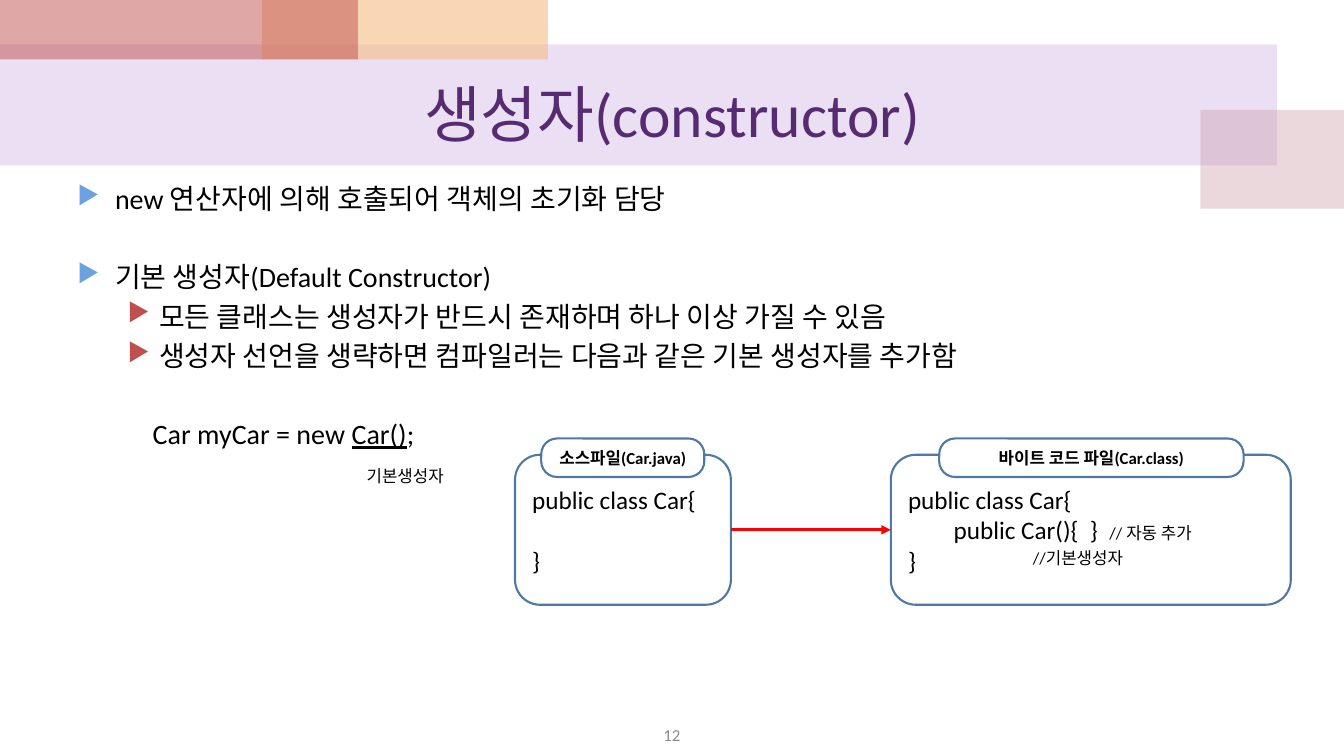
from lxml.etree import SubElement
from pptx import Presentation
from pptx.dml.color import RGBColor
from pptx.enum.shapes import MSO_CONNECTOR, MSO_SHAPE
from pptx.enum.text import MSO_ANCHOR, PP_ALIGN
from pptx.oxml.ns import qn
from pptx.util import Cm, Pt

FONT = "Calibri"
BLACK = RGBColor(0x00, 0x00, 0x00)
WHITE = RGBColor(0xFF, 0xFF, 0xFF)
GREY = RGBColor(0x8C, 0x8C, 0x8C)
PURPLE = RGBColor(0x56, 0x2B, 0x71)
LILAC = RGBColor(0xBF, 0x98, 0xD8)
PINK = RGBColor(0xCC, 0x9E, 0xAC)
ORANGE = RGBColor(0xF5, 0xBC, 0x83)
BRICK = RGBColor(0xC0, 0x50, 0x4D)
SKY = RGBColor(0x6B, 0xA2, 0xDF)
STEEL = RGBColor(0x4F, 0x78, 0xA5)
RED = RGBColor(0xFF, 0x00, 0x00)

BANDS = [
    (0, 1.12, 32.18, 3.05, LILAC, 30),
    (30.25, 2.77, 3.62, 2.49, PINK, 40),
    (6.6, 0, 7.21, 1.5, ORANGE, 60),
    (0, 0, 9.02, 1.5, BRICK, 50),
]


def add_band(slide, left, top, width, height, color, opacity):
    """Add a translucent decorative rectangle."""
    band = slide.shapes.add_shape(
        MSO_SHAPE.RECTANGLE, Cm(left), Cm(top), Cm(width), Cm(height))
    band.shadow.inherit = False
    band.line.fill.background()
    band.fill.solid()
    band.fill.fore_color.rgb = color
    tint = band.fill._xPr.find(qn("a:solidFill"))[0]
    SubElement(tint, qn("a:alpha"), val=str(opacity * 1000))


def add_text_area(slide, left, top, width, height, wrap=True, anchor=MSO_ANCHOR.TOP):
    """Add an empty text box and return its text frame."""
    frame = slide.shapes.add_textbox(
        Cm(left), Cm(top), Cm(width), Cm(height)).text_frame
    frame.word_wrap = wrap
    frame.vertical_anchor = anchor
    return frame


def write(frame, *pieces, size=12, color=BLACK, bold=False, align=PP_ALIGN.LEFT,
          before=0, margin=0, hanging=0, bullet=None):
    """Write one paragraph from (text, size, underline) pieces or plain strings."""
    paragraph = frame.paragraphs[0]
    if paragraph.runs:
        paragraph = frame.add_paragraph()
    paragraph.alignment = align
    paragraph.space_before = Pt(before)
    layout = paragraph._p.get_or_add_pPr()
    layout.set("marL", str(Cm(margin)))
    layout.set("indent", str(-Cm(hanging)))
    if bullet is not None:
        SubElement(SubElement(layout, qn("a:buClr")), qn("a:srgbClr"), val=str(bullet))
        SubElement(layout, qn("a:buSzPct"), val="90000")
        SubElement(layout, qn("a:buChar"), char="▶")
    for piece in pieces:
        text, piece_size, underline = (
            (piece, size, False) if isinstance(piece, str) else piece)
        run = paragraph.add_run()
        run.text = text
        run.font.name = FONT
        run.font.size = Pt(piece_size)
        run.font.bold = bold
        run.font.underline = underline
        run.font.color.rgb = color


def add_rounded(slide, left, top, width, height):
    """Add an outlined, unfilled rounded rectangle."""
    rounded = slide.shapes.add_shape(
        MSO_SHAPE.ROUNDED_RECTANGLE, Cm(left), Cm(top), Cm(width), Cm(height))
    rounded.shadow.inherit = False
    rounded.fill.background()
    rounded.line.color.rgb = STEEL
    rounded.line.width = Pt(1.5)
    rounded.text_frame.vertical_anchor = MSO_ANCHOR.MIDDLE
    return rounded


def add_code_file(slide, left, width, tab_left, tab_width, file_name):
    """Add a code box with a file name tab and return the box."""
    code_box = add_rounded(slide, left, 11.46, width, 3.78)
    tab = add_rounded(slide, tab_left, 11.05, tab_width, 0.97)
    tab.adjustments[0] = 0.41
    tab.fill.solid()
    tab.fill.fore_color.rgb = WHITE
    write(tab.text_frame, file_name, bold=True, align=PP_ALIGN.CENTER)
    return code_box


def add_arrow(slide, source, target):
    """Join the right side of source to the left side of target."""
    arrow = slide.shapes.add_connector(MSO_CONNECTOR.STRAIGHT, 0, 0, 0, 0)
    arrow.begin_connect(source, 3)
    arrow.end_connect(target, 1)
    arrow.line.color.rgb = RED
    arrow.line.width = Pt(2.25)
    SubElement(arrow.line._get_or_add_ln(), qn("a:tailEnd"), type="triangle")
    SubElement(arrow._element.spPr, qn("a:effectLst"))


def add_explanation(slide):
    """Add the bulleted explanation and the sample statement."""
    body = add_text_area(slide, 1.7, 4.45, 30.48, 12.57)
    main_point = dict(size=20, margin=0.95, hanging=0.95, bullet=SKY)
    sub_point = dict(size=20, margin=2.06, hanging=0.79, bullet=BRICK, before=4)
    write(body, "new 연산자에 의해 호출되어 객체의 초기화 담당", **main_point)
    write(body, "기본 생성자(Default Constructor)", before=32, **main_point)
    write(body, "모든 클래스는 생성자가 반드시 존재하며 하나 이상 가질 수 있음", **sub_point)
    write(body, "생성자 선언을 생략하면 컴파일러는 다음과 같은 기본 생성자를 추가함", **sub_point)
    write(body, "Car myCar = new ", ("Car()", 20, True), ";",
          size=20, margin=1.9, before=32)
    write(add_text_area(slide, 8.99, 11.61, 2.64, 0.76, wrap=False), "기본생성자")


def add_compilation(slide):
    """Add the source file, the byte code file and the arrow between them."""
    source = add_code_file(slide, 12.98, 5.44, 13.64, 4.11, "소스파일(Car.java)")
    write(source.text_frame, "public class Car{", size=18)
    write(source.text_frame, "}", size=18, before=22)

    byte_code = add_code_file(slide, 22.45, 10.08, 23.67, 7.67, "바이트 코드 파일(Car.class)")
    write(byte_code.text_frame, "public class Car{", size=18)
    write(byte_code.text_frame, "public Car(){  }  ", ("// 자동 추가", 12, False),
          size=18, margin=1.15)
    write(byte_code.text_frame, "}", size=18)

    add_arrow(slide, source, byte_code)
    write(add_text_area(slide, 25.78, 13.69, 3.07, 0.76, wrap=False), "//기본생성자")


def main():
    """Build the constructor slide and save it."""
    deck = Presentation()
    deck.slide_width, deck.slide_height = Cm(33.87), Cm(19.05)
    slide = deck.slides.add_slide(deck.slide_layouts[6])
    for band in BANDS:
        add_band(slide, *band)
    title = add_text_area(slide, 1.7, 1.5, 30.48, 2.67, anchor=MSO_ANCHOR.MIDDLE)
    write(title, "생성자(constructor)", size=44, color=PURPLE, align=PP_ALIGN.CENTER)
    add_explanation(slide)
    page_number = add_text_area(slide, 12.98, 18.16, 7.9, 0.69, anchor=MSO_ANCHOR.MIDDLE)
    write(page_number, "12", color=GREY, align=PP_ALIGN.CENTER)
    add_compilation(slide)
    deck.save("out.pptx")


if __name__ == "__main__":
    main()
